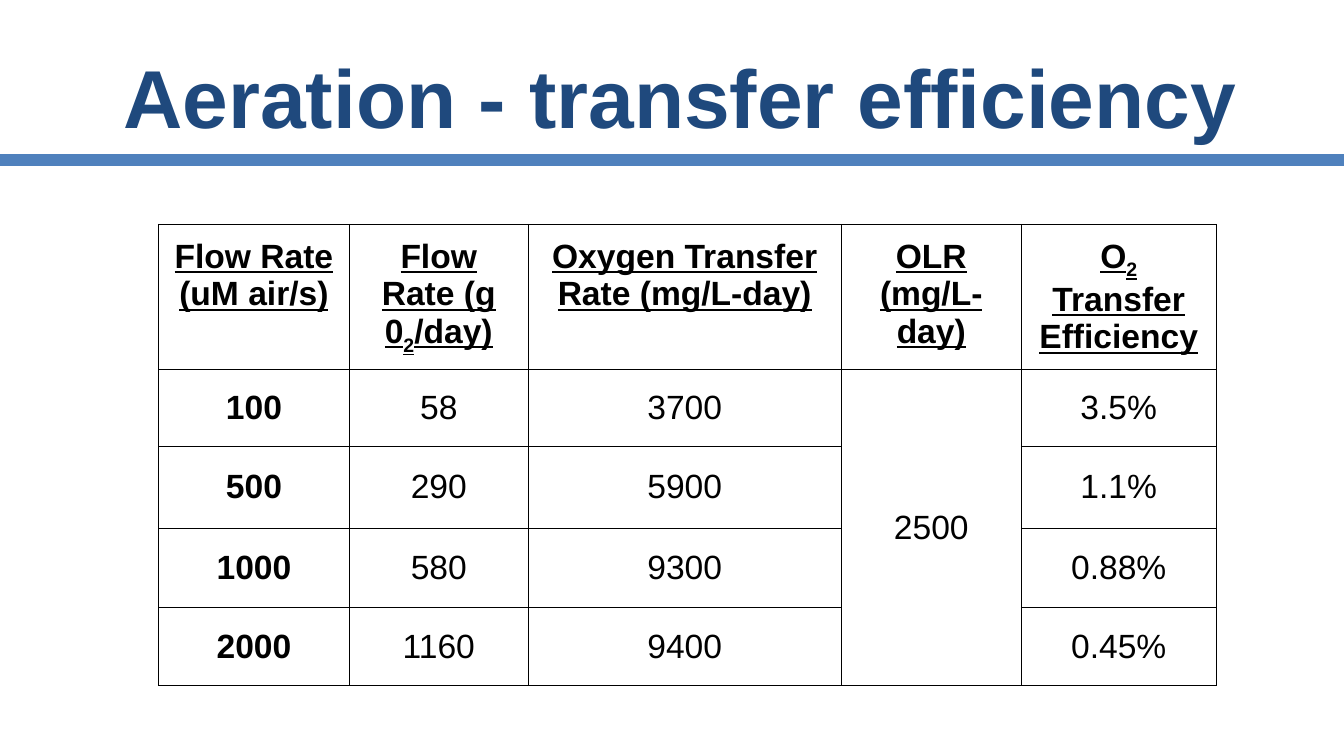
from dataclasses import dataclass

from lxml.etree import SubElement
from pptx import Presentation
from pptx.dml.color import RGBColor
from pptx.enum.shapes import MSO_CONNECTOR as Connector
from pptx.enum.text import MSO_ANCHOR as Anchor, MSO_AUTO_SIZE as AutoSize, PP_ALIGN as Align
from pptx.oxml import parse_xml
from pptx.oxml.ns import nsdecls, qn
from pptx.util import Inches, Pt


@dataclass(frozen=True)
class Theme:
    font: str = "Arial"
    title_color: str = "1F497D"
    rule_color: str = "4F81BD"
    ink: str = "000000"
    title_size: int = 44
    table_size: int = 18
    rule_width: float = 6
    border_width: float = 0.75
    inset: float = 0.1


@dataclass(frozen=True)
class Grid:
    left: float
    top: float
    width: float
    height: float
    columns: tuple[float, ...]
    rows: tuple[float, ...]


THEME = Theme()
WIDTH = 10
HEIGHT = WIDTH * 9 / 16
RULE_TOP = 1.19
# The header row grows to fit its three lines of text.
GRID = Grid(1.18, 1.67, 7.86, 3.45,
            columns=(1.42, 1.33, 2.33, 1.34, 1.45),
            rows=(0.79, 0.57, 0.61, 0.59, 0.58))
OLR_COLUMN = 3

# Text between tildes is set as subscript; a newline starts a paragraph.
HEADERS = ("Flow Rate \n(uM air/s)", "Flow Rate (g 0~2~/day)",
           "Oxygen Transfer Rate (mg/L-day)", "OLR (mg/L-day)",
           "O~2~ Transfer Efficiency")
READINGS = (
    ("100", "58", "3700", "2500", "3.5%"),
    ("500", "290", "5900", "", "1.1%"),
    ("1000", "580", "9300", "", "0.88%"),
    ("2000", "1160", "9400", "", "0.45%"),
)


def write(frame, text: str, *, size: float, color: str,
          bold: bool = False, underline: bool = False) -> None:
    """Fill a text frame with centred, formatted paragraphs."""
    for index, line in enumerate(text.split("\n")):
        para = frame.paragraphs[0] if index == 0 else frame.add_paragraph()
        para.alignment = Align.CENTER
        for part, words in enumerate(line.split("~")):
            span = para.add_run()
            span.text = words
            span.font.name = THEME.font
            span.font.size = Pt(size)
            span.font.bold = bold
            span.font.underline = underline
            span.font.color.rgb = RGBColor.from_string(color)
            if part % 2:
                span._r.get_or_add_rPr().set("baseline", "-25000")


def set_insets(holder) -> None:
    for side in ("left", "right", "top", "bottom"):
        setattr(holder, f"margin_{side}", Inches(THEME.inset))


def add_borders(cell) -> None:
    properties = cell._tc.get_or_add_tcPr()
    for index, side in enumerate(("lnL", "lnR", "lnT", "lnB")):
        properties.insert(index, parse_xml(
            f'<a:{side} {nsdecls("a")} w="{Pt(THEME.border_width)}"><a:solidFill>'
            f'<a:srgbClr val="{THEME.ink}"/></a:solidFill></a:{side}>'))


def add_title(page, text: str) -> None:
    title = page.shapes.title
    title.left, title.top, title.width, title.height = map(Inches, (0.74, 0.24, 8.65, 0.94))
    frame = title.text_frame
    frame.word_wrap = True
    frame.auto_size = AutoSize.NONE
    frame.vertical_anchor = Anchor.BOTTOM
    set_insets(frame)
    write(frame, text, size=THEME.title_size, color=THEME.title_color, bold=True)


def add_rule(page) -> None:
    rule = page.shapes.add_connector(Connector.STRAIGHT, 0, Inches(RULE_TOP),
                                     Inches(WIDTH), Inches(RULE_TOP))
    rule.line.color.rgb = RGBColor.from_string(THEME.rule_color)
    rule.line.width = Pt(THEME.rule_width)
    SubElement(rule._element.spPr, qn("a:effectLst"))


def add_readings(page, grid: Grid) -> None:
    holder = page.shapes.add_table(
        len(grid.rows), len(grid.columns), Inches(grid.left), Inches(grid.top),
        Inches(grid.width), Inches(grid.height))
    table = holder.table
    table.first_row = table.horz_banding = False
    for column, width in zip(table.columns, grid.columns):
        column.width = Inches(width)
    for row, height in zip(table.rows, grid.rows):
        row.height = Inches(height)
    holder.width, holder.height = Inches(grid.width), Inches(grid.height)

    for row, texts in enumerate((HEADERS, *READINGS)):
        header = row == 0
        for column, text in enumerate(texts):
            cell = table.cell(row, column)
            cell.fill.background()
            add_borders(cell)
            set_insets(cell)
            cell.vertical_anchor = Anchor.TOP if header else Anchor.MIDDLE
            if text:
                write(cell.text_frame, text, size=THEME.table_size, color=THEME.ink,
                      bold=header or column == 0, underline=header)

    # One loading rate applies to every reading
    table.cell(1, OLR_COLUMN).merge(table.cell(len(READINGS), OLR_COLUMN))


def main() -> None:
    deck = Presentation()
    deck.slide_width, deck.slide_height = Inches(WIDTH), Inches(HEIGHT)
    page = deck.slides.add_slide(deck.slide_layouts.get_by_name("Title Only"))
    add_rule(page)
    add_title(page, "Aeration - transfer efficiency")
    add_readings(page, GRID)
    deck.save("out.pptx")


if __name__ == "__main__":
    main()
